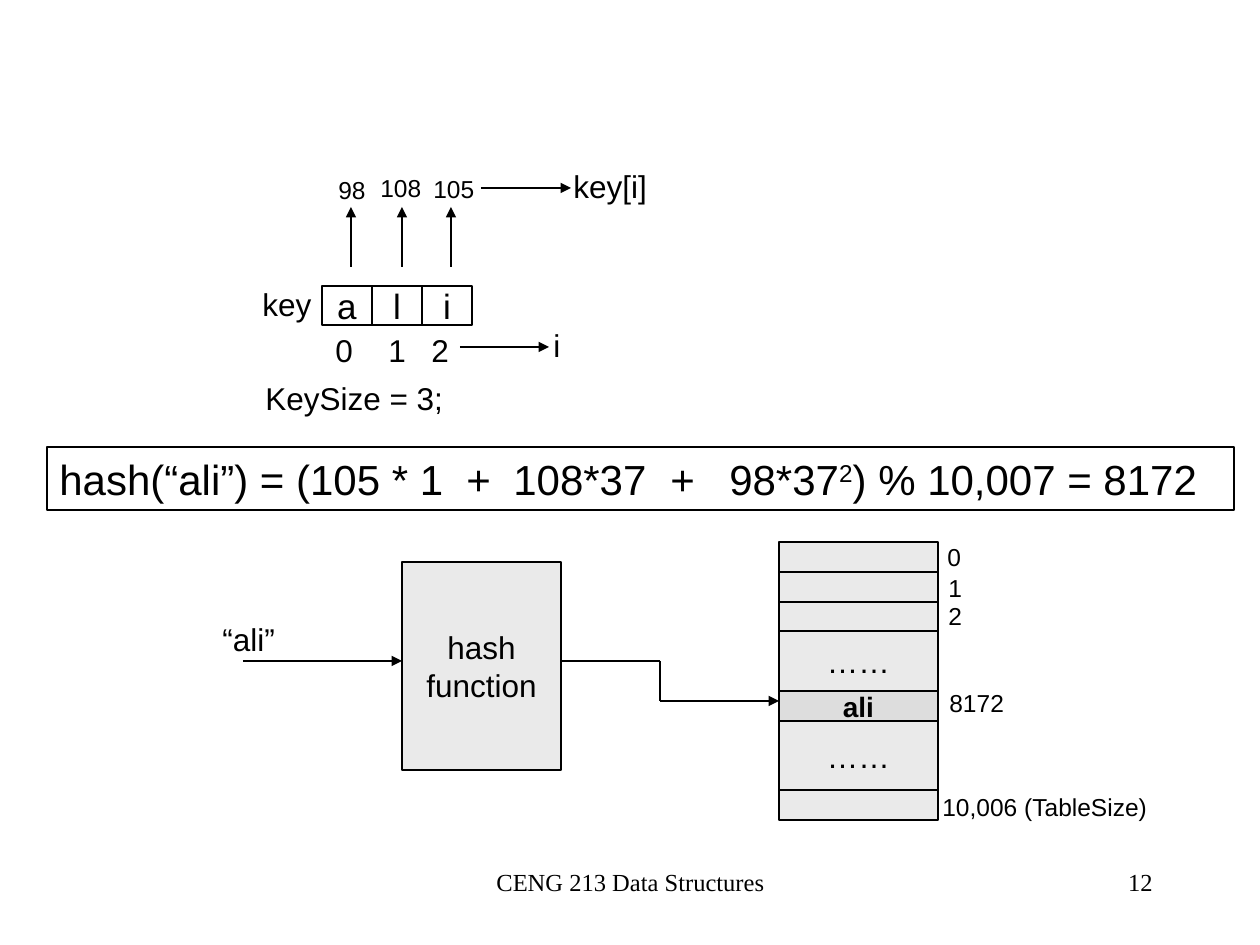
from lxml import etree
from pptx import Presentation
from pptx import util as u
from pptx.dml.color import RGBColor
from pptx.enum import shapes, text
from pptx.oxml.ns import qn

PX = 914400 // 126
LINE_WIDTH = u.Pt(0.99)
BLACK = RGBColor(0, 0, 0)
LIGHT = RGBColor(0xEA, 0xEA, 0xEA)
GREY = RGBColor(0xDD, 0xDD, 0xDD)
LEFT, CENTER, RIGHT = text.PP_ALIGN.LEFT, text.PP_ALIGN.CENTER, text.PP_ALIGN.RIGHT

prs = Presentation()
prs.slide_width, prs.slide_height = 1260 * PX, 945 * PX
s = prs.slides.add_slide(prs.slide_layouts[6])


def add_text(box, runs, size, align=LEFT, font="Arial", bold=False, wrap=False, tabs=()):
    """Writes (wording, baseline) runs; a newline makes a line break."""
    sp = s.shapes.add_textbox(*[v * PX for v in box]) if isinstance(box, tuple) else box
    tf = sp.text_frame
    tf.word_wrap = wrap
    p = tf.paragraphs[0]
    p.alignment = align
    if tabs:
        tab_list = etree.SubElement(p._p.get_or_add_pPr(), qn("a:tabLst"))
        for pos in tabs:
            etree.SubElement(tab_list, qn("a:tab"), pos=str(pos * PX), algn="l")
    for wording, baseline in runs:
        for i, line in enumerate(wording.split("\n")):
            if i:
                p.add_line_break()
            r = p.add_run()
            r.text = line
            r.font.size, r.font.name, r.font.bold = u.Pt(size), font, bold
            r.font.color.rgb = BLACK
            if baseline:
                r.font._element.set("baseline", str(baseline * 1000))


def add_box(x, y, w, h, fill=None):
    sp = s.shapes.add_shape(shapes.MSO_SHAPE.RECTANGLE, x * PX, y * PX, w * PX, h * PX)
    sp.shadow.inherit = False
    if fill is None:
        sp.fill.background()
    else:
        sp.fill.solid()
        sp.fill.fore_color.rgb = fill
    sp.line.color.rgb = BLACK
    sp.line.width = LINE_WIDTH
    sp.text_frame.vertical_anchor = text.MSO_ANCHOR.MIDDLE
    return sp


# Footer and slide number
add_text((431, 861, 399, 63), [("CENG 213 Data Structures", 0)], 14, CENTER,
         "Times New Roman", wrap=True)
add_text((903, 861, 262, 63), [("12", 0)], 14, RIGHT, "Times New Roman", wrap=True)

# Key letters
for i, letter in enumerate("ali"):
    add_text(add_box(322 + 50 * i, 286, 50, 39), [(letter, 0)], 20, CENTER)

# Formula
formula = add_box(47, 447, 1187, 63)
add_text(formula, [("hash(“ali”) = (105 * 1\t+\t108*37\t+\t98*37", 0), ("2", 30),
                   (") % 10,007 = 8172", 0)], 24, wrap=True, tabs=(407, 454, 611, 670))

# Hash function
add_text(add_box(402, 562, 159, 208, LIGHT), [("hash\nfunction", 0)], 18, CENTER)

# Hash table cells, stacked from the top
y = 542
for height, wording, size, fill in [
    (30, "", 0, LIGHT), (30, "", 0, LIGHT), (29, "", 0, LIGHT), (60, "……", 18, LIGHT),
    (30, "ali", 16, GREY), (69, "……", 18, LIGHT), (30, "", 0, LIGHT),
]:
    cell = add_box(779, y, 159, height, fill)
    if wording:
        add_text(cell, [(wording, 0)], size, CENTER, bold=wording == "ali")
    y += height

# Index row under the key
add_text((323, 325, 150, 50), [("0\t1\t2", 0)], 18, tabs=(53, 96))

# Labels, with widths that keep each on one line
for x, y, w, wording, size in [
    (250, 279, 84, "key", 18),
    (253, 373, 213, "KeySize = 3;", 18),
    (541, 320, 42, "i", 18),
    (561, 161, 112, "key[i]", 18),
    (210, 614, 92, "“ali”", 18),
    (326, 169, 64, "98", 14),
    (368, 167, 78, "108", 14),
    (421, 168, 78, "105", 14),
    (935, 536, 46, "0", 14),
    (936, 567, 46, "1", 14),
    (936, 595, 46, "2", 14),
    (937, 682, 94, "8172", 14),
    (930, 786, 246, "10,006 (TableSize)", 14),
]:
    add_text((x, y, w, 50 if size == 18 else 43), [(wording, 0)], size)

# Lines and arrows
for x1, y1, x2, y2, arrow in [
    (351, 267, 351, 207, True),
    (402, 267, 402, 207, True),
    (451, 267, 451, 207, True),
    (460, 347, 549, 347, True),
    (481, 188, 571, 188, True),
    (243, 661, 402, 661, True),
    (561, 661, 660, 661, False),
    (660, 661, 660, 701, False),
    (660, 701, 779, 701, True),
]:
    cx = s.shapes.add_connector(shapes.MSO_CONNECTOR.STRAIGHT,
                                x1 * PX, y1 * PX, x2 * PX, y2 * PX)
    cx.line.color.rgb = BLACK
    cx.line.width = LINE_WIDTH
    if arrow:
        etree.SubElement(cx.line._get_or_add_ln(), qn("a:tailEnd"), type="triangle")
    etree.SubElement(cx._element.spPr, qn("a:effectLst"))

prs.save("out.pptx")
